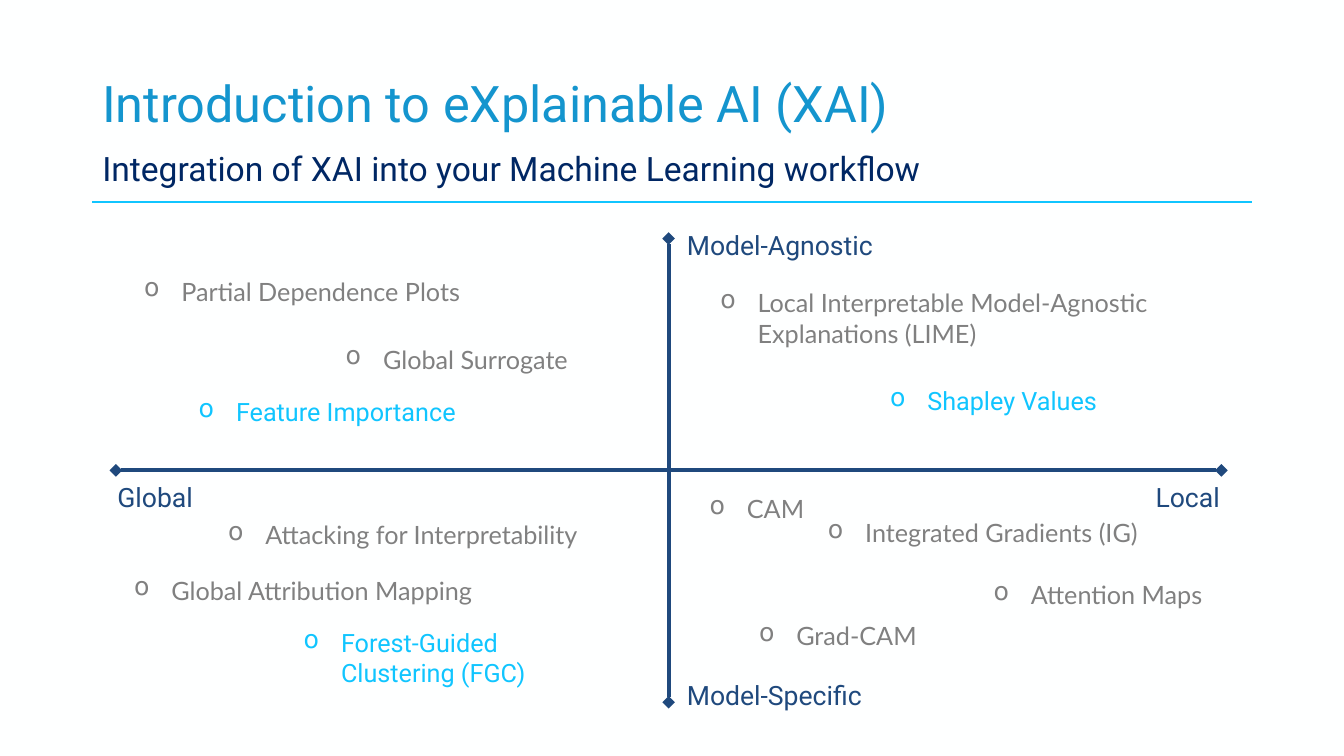
from pptx import Presentation
from pptx.dml.color import RGBColor
from pptx.enum.shapes import MSO_CONNECTOR
from pptx.enum.text import MSO_ANCHOR, PP_ALIGN
from pptx.oxml.ns import qn
from pptx.util import Inches, Pt
from lxml.etree import SubElement

COLUMNS, ROWS = 160, 90
CELL = Inches(1 / 12)

PAPER = RGBColor(0xFE, 0xFF, 0xFF)
TITLE_BLUE = RGBColor(0x14, 0x95, 0xCE)
NAVY = RGBColor(0x00, 0x27, 0x64)
AXIS_BLUE = RGBColor(0x1F, 0x49, 0x7D)
CYAN = RGBColor(0x10, 0xC5, 0xFF)
GREY = RGBColor(0x80, 0x80, 0x80)

# Side and top insets, in cells
HEADING_INSETS = (1.2, 0.6)
LABEL_INSETS = (1.2, 1.2)
METHOD_INSETS = (1.56, 0.84)

HEADING = {"insets": HEADING_INSETS, "line_spacing": 0.9}
AXIS_LABEL = {"size": 19, "color": AXIS_BLUE, "insets": LABEL_INSETS}
PLAIN = {"size": 18, "color": GREY, "font": "Lato", "insets": METHOD_INSETS, "bullet": True}
FEATURED = PLAIN | {"color": CYAN, "font": "Roboto"}
SMALL_INSET = PLAIN | {"insets": LABEL_INSETS}

AXIS_LABELS = [
    ("Model-Agnostic", 80.6, 26, PP_ALIGN.LEFT),
    ("Model-Specific", 80.6, 79.6, PP_ALIGN.LEFT),
    ("Global", 12.8, 56, PP_ALIGN.LEFT),
    ("Local", 121.2, 56, PP_ALIGN.RIGHT),
]

# Text, (left, top, width, height) in cells, style
METHODS = [
    ("Partial Dependence Plots", (15, 32, 48.4, 6.2), PLAIN),
    ("Global Surrogate", (39, 40.1, 36.6, 6), PLAIN),
    ("Feature Importance", (21.5, 46.4, 40.9, 6), FEATURED),
    ("Local Interpretable Model-Agnostic Explanations (LIME)", (83.6, 33.4, 61.1, 10.4), PLAIN),
    ("Shapley Values", (103.8, 45, 32.9, 6), FEATURED),
    ("Attacking for Interpretability", (25, 61, 49.3, 6.2), PLAIN),
    ("Global Attribution Mapping", (13.8, 67.6, 47, 6.2), PLAIN),
    ("Forest-Guided Clustering (FGC)", (34, 73.8, 35.6, 10.4), FEATURED),
    ("CAM", (82.7, 57.5, 37, 6), SMALL_INSET),
    ("Integrated Gradients (IG)", (96.4, 60.8, 43.2, 6.2), PLAIN),
    ("Attention Maps", (116.5, 67.8, 37, 6), SMALL_INSET),
    ("Grad-CAM", (88.2, 73, 39, 6), PLAIN),
]


def cells(*counts):
    return [round(count * CELL) for count in counts]


def set_all(target, values):
    for name, value in values.items():
        setattr(target, name, value)


def add_bullet(para, color):
    """Give the paragraph a hanging "o" in the given colour."""
    properties = para._p.get_or_add_pPr()
    properties.set("marL", str(Inches(0.42)))
    properties.set("indent", str(Inches(-0.37)))
    bullet_color = SubElement(properties, qn("a:buClr"))
    SubElement(bullet_color, qn("a:srgbClr"), val=str(color))
    SubElement(properties, qn("a:buChar"), char="o")


def add_text(page, text, place, size, color, insets, font="Roboto", bullet=False,
             align=PP_ALIGN.LEFT, anchor=MSO_ANCHOR.TOP, line_spacing=1.0):
    frame = page.shapes.add_textbox(*cells(*place)).text_frame
    side, top = cells(*insets)
    set_all(frame, {"word_wrap": True, "vertical_anchor": anchor,
                    "margin_left": side, "margin_right": side,
                    "margin_top": top, "margin_bottom": top})
    para = frame.paragraphs[0]
    if bullet:
        add_bullet(para, color)
    set_all(para, {"alignment": align, "line_spacing": line_spacing})
    run = para.add_run()
    run.text = text
    set_all(run.font, {"name": font, "size": Pt(size)})
    run.font.color.rgb = color


def add_line(page, ends, color, width, diamonds=False):
    line = page.shapes.add_connector(MSO_CONNECTOR.STRAIGHT, *cells(*ends))
    line.line.color.rgb = color
    line.line.width = Pt(width)
    if diamonds:
        for end in ("a:headEnd", "a:tailEnd"):
            SubElement(line.line._get_or_add_ln(), qn(end), type="diamond")
    SubElement(line._element.spPr, qn("a:effectLst"))


def add_heading(page):
    add_line(page, (11, 24, 149, 24), CYAN, 1.5)
    add_text(page, "Introduction to eXplainable AI (XAI)", (11, 9.4, 138, 6.4),
             36, TITLE_BLUE, anchor=MSO_ANCHOR.MIDDLE, **HEADING)
    add_text(page, "Integration of XAI into your Machine Learning workflow",
             (11, 17.5, 138, 4.7), 24, NAVY, **HEADING)


def add_axes(page):
    for ends in ((13.8, 56, 145.4, 56), (79.6, 28.4, 79.6, 83.6)):
        add_line(page, ends, AXIS_BLUE, 3, diamonds=True)
    for text, left, top, align in AXIS_LABELS:
        add_text(page, text, (left, top, 25.2, 6), align=align, **AXIS_LABEL)


def main():
    deck = Presentation()
    deck.slide_width, deck.slide_height = cells(COLUMNS, ROWS)
    page = deck.slides.add_slide(deck.slide_layouts[6])
    page.background.fill.solid()
    page.background.fill.fore_color.rgb = PAPER
    add_heading(page)
    add_axes(page)
    for text, place, style in METHODS:
        add_text(page, text, place, **style)
    deck.save("out.pptx")


if __name__ == "__main__":
    main()
